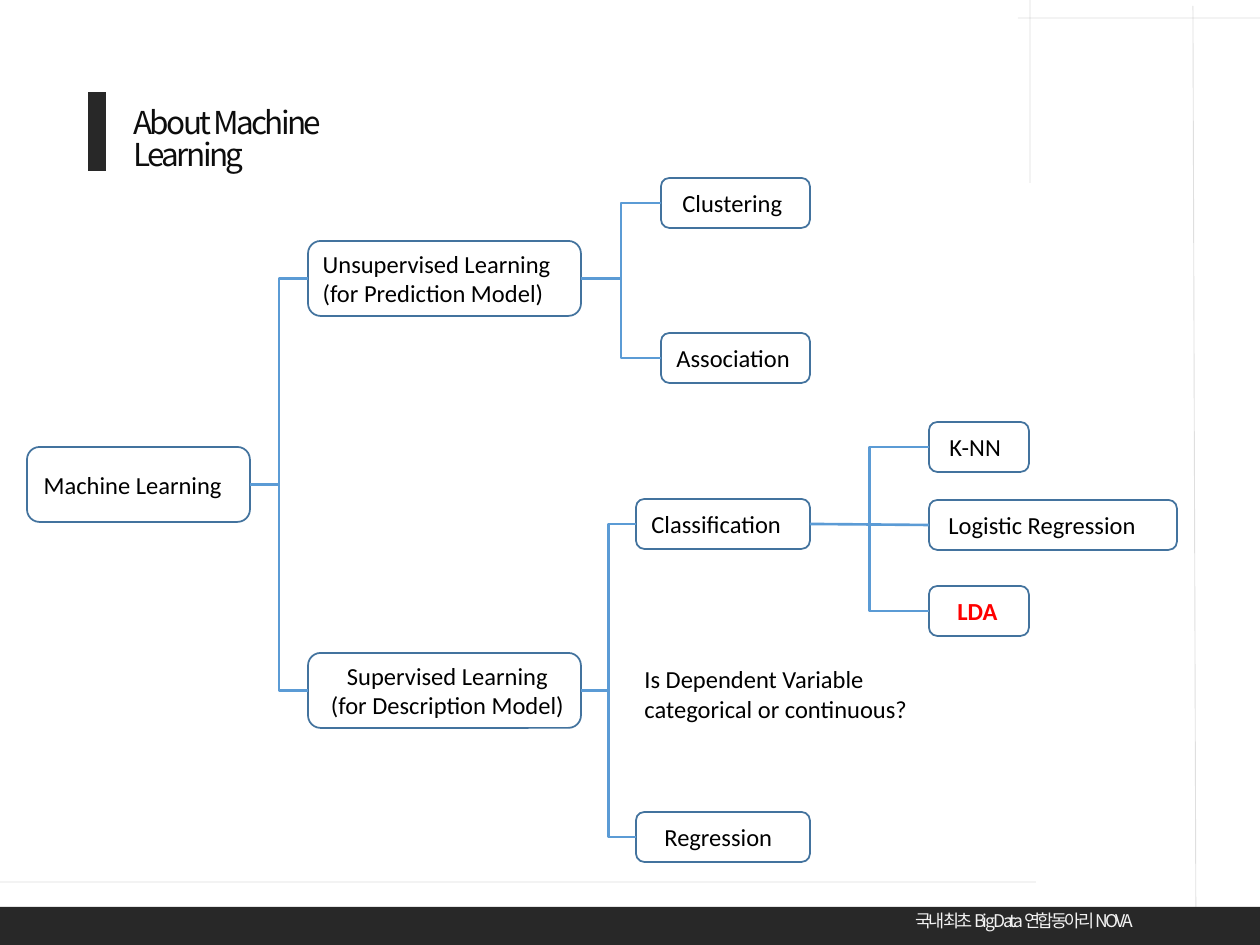
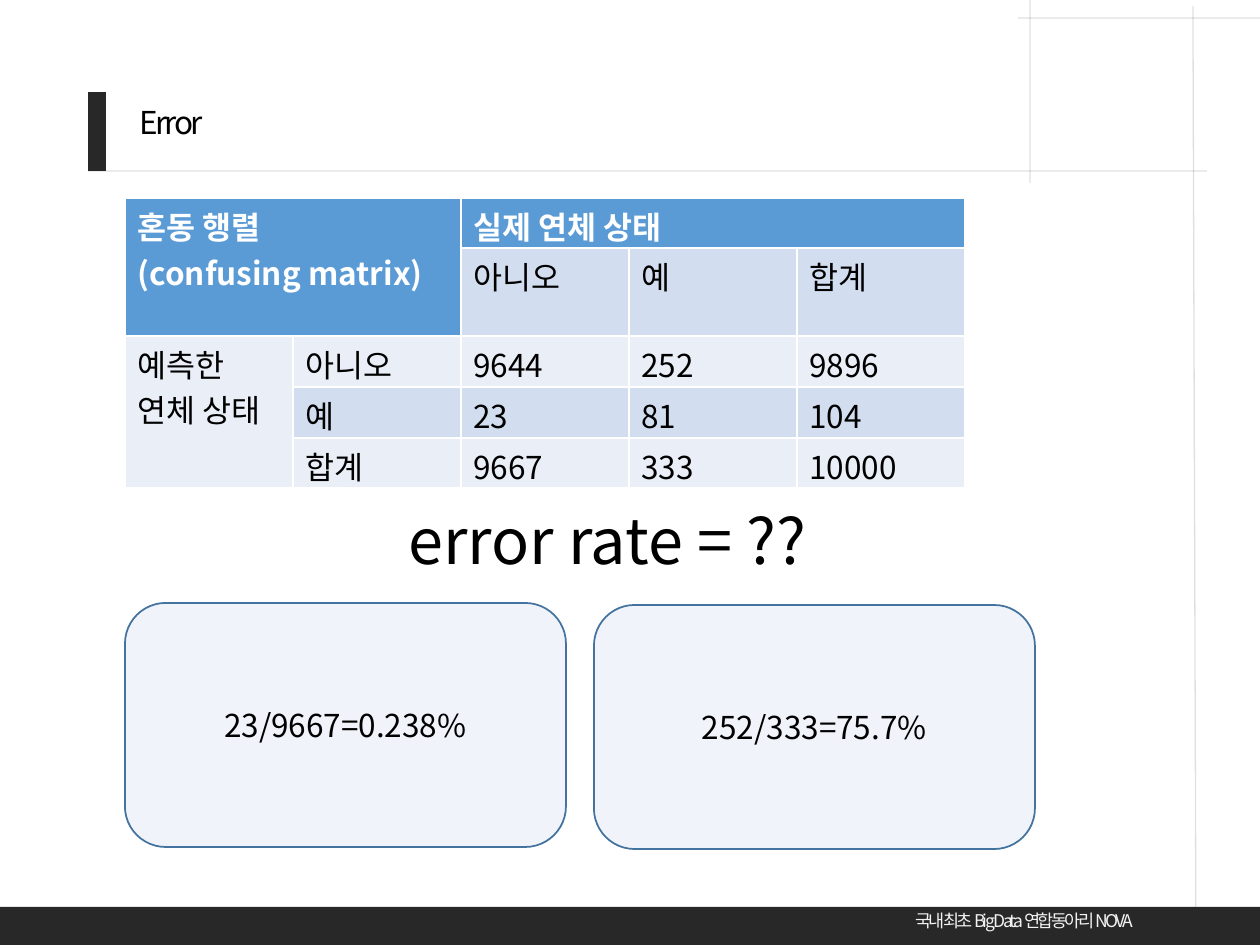
from lxml import etree
from pptx import Presentation
from pptx.dml.color import RGBColor
from pptx.enum.shapes import MSO_CONNECTOR, MSO_SHAPE
from pptx.enum.text import MSO_ANCHOR, PP_ALIGN
from pptx.oxml.ns import qn
from pptx.util import Inches, Pt

PX = 7257  # EMU per px, 126 px to the inch
RECT, ROUNDED = MSO_SHAPE.RECTANGLE, MSO_SHAPE.ROUNDED_RECTANGLE
STRAIGHT, ELBOW = MSO_CONNECTOR.STRAIGHT, MSO_CONNECTOR.ELBOW
LEFT, CENTER = PP_ALIGN.LEFT, PP_ALIGN.CENTER
MIDDLE = MSO_ANCHOR.MIDDLE
LEFT_SITE, RIGHT_SITE = 1, 3

SANS, CALIBRI = "Noto Sans CJK KR", "Calibri"
BLACK, WHITE, RED = "000000", "FFFFFF", "FF0000"
DARK, GUIDE, FOOTER_TEXT = "282828", "0D0D0D", "F2F2F2"
BLUE, OUTLINE, PALE = "5B9BD5", "43739E", "DAE3F3"
BANDS = ["EAEFF7", "D2DEEF"]


def paint(fill, color, opacity=100):
    """Make a fill solid, with its opacity in percent."""
    fill.solid()
    fill.fore_color.rgb = RGBColor.from_string(color)
    if opacity < 100:
        clr = fill._xPr.find(qn("a:solidFill"))[0]
        etree.SubElement(clr, qn("a:alpha"), val=str(opacity * 1000))


def write(tf, text, size, color=BLACK, font=SANS, bold=False, align=LEFT, tight=False):
    """Fill a text frame, one paragraph a line; tight text has closer letters and lines."""
    tf.word_wrap = True
    tf.text = text
    for p in tf.paragraphs:
        p.alignment = align
        p.font.size, p.font.name, p.font.bold = Pt(size), font, bold
        paint(p.font.fill, color)
        props = p._p.pPr.find(qn("a:defRPr"))
        props.find(qn("a:latin")).addnext(etree.Element(qn("a:ea"), typeface=font))
        if tight:
            p.line_spacing = 0.85
            props.set("spc", "-150")


prs = Presentation()
prs.slide_width, prs.slide_height = Inches(10), Inches(7.5)

# Frame of both slides: guide lines, title and footer
GUIDES = [(1018, 18, 1260, 18), (1030, 0, 1030, 183), (1193, 6, 1196, 945)]
FRAMES = [  # title, its left and width, own guide line, guide width
    ("About Machine Learning", 121, 261, (0, 882, 1036, 882), 0.5),
    ("Error", 127, 101, (88, 171, 1207, 171), 0.75),
]
slides = []
for title, left, width, own_guide, weight in FRAMES:
    slide = prs.slides.add_slide(prs.slide_layouts[6])
    slides.append(slide)
    for ends in GUIDES + [own_guide]:
        s = slide.shapes.add_connector(STRAIGHT, *[v * PX for v in ends])
        s.line.width = Pt(weight)
        paint(s.line.fill, GUIDE, 12)
    for box in [(88, 92, 18, 79), (0, 907, 1260, 38)]:
        s = slide.shapes.add_shape(RECT, *[v * PX for v in box])
        paint(s.fill, DARK)
        s.line.fill.background()
    for text, box, size, color in [
        (title, (left, 103, width, 50), 18, GUIDE if slide is slides[0] else BLACK),
        ("국내 최초 Big Data 연합동아리 NOVA", (903, 907, 309, 34), 10, FOOTER_TEXT),
    ]:
        s = slide.shapes.add_textbox(*[v * PX for v in box])
        write(s.text_frame, text, size, color, tight=True)

# Slide 1: tree of learning methods
tree, error = slides
NODES = {  # key: text, box, left inset
    "root": ("Machine Learning", (27, 447, 223, 75), 13),
    "unsupervised": ("Unsupervised Learning\n(for Prediction Model)", (308, 241, 273, 75), 11),
    "supervised": ("Supervised Learning\n(for Description Model)", (308, 653, 273, 75), 6),
    "clustering": ("Clustering", (661, 178, 149, 50), 19),
    "association": ("Association", (661, 333, 149, 50), 13),
    "classification": ("Classification", (636, 499, 174, 50), 13),
    "regression": ("Regression", (636, 812, 174, 50), 26),
    "knn": ("K-NN", (929, 422, 100, 50), 18),
    "logistic": ("Logistic Regression", (929, 500, 248, 50), 17),
    "lda": ("LDA", (929, 586, 100, 50), 26),
}
CHILDREN = {
    "root": ["unsupervised", "supervised"],
    "unsupervised": ["clustering", "association"],
    "supervised": ["classification", "regression"],
    "classification": ["knn", "logistic", "lda"],
}
nodes = {}
for key, (text, box, inset) in NODES.items():
    s = nodes[key] = tree.shapes.add_shape(ROUNDED, *[v * PX for v in box])
    s.fill.background()
    s.line.width = Pt(1)
    paint(s.line.fill, OUTLINE)
    tf = s.text_frame
    tf.vertical_anchor = MIDDLE
    tf.margin_left, tf.margin_right = inset * PX, 0
    is_lda = key == "lda"
    write(tf, text, 14, RED if is_lda else BLACK, CALIBRI, is_lda,
          CENTER if key == "supervised" else LEFT)

for parent, children in CHILDREN.items():
    for child in children:
        kind = STRAIGHT if child == "logistic" else ELBOW
        s = tree.shapes.add_connector(kind, 0, 0, 0, 0)
        s.begin_connect(nodes[parent], RIGHT_SITE)
        s.end_connect(nodes[child], LEFT_SITE)
        s.line.width = Pt(1.5)
        paint(s.line.fill, BLUE)

s = tree.shapes.add_textbox(*[v * PX for v in (632, 658, 324, 72)])
write(s.text_frame, "Is Dependent Variable\ncategorical or continuous?", 14, font=CALIBRI)

# Slide 2: confusion matrix and error rates
ROWS = [
    ["혼동 행렬\n(confusing matrix)", "", "실제 연체 상태", "", ""],
    ["", "", "아니오", "예", "합계"],
    ["예측한 연체 상태", "아니오", "9644", "252", "9896"],
    ["", "예", "23", "81", "104"],
    ["", "합계", "9667", "333", "10000"],
]
ROW_HEIGHTS = [50, 88, 51, 51, 50]
table = error.shapes.add_table(
    5, 5, *[v * PX for v in (125, 198, 840, sum(ROW_HEIGHTS))]).table
for row, height in zip(table.rows, ROW_HEIGHTS):
    row.height = height * PX
for top, left, bottom, right in [(0, 0, 1, 1), (0, 2, 0, 4), (2, 0, 4, 0)]:
    table.cell(top, left).merge(table.cell(bottom, right))
for i, values in enumerate(ROWS):
    for j, value in enumerate(values):
        cell = table.cell(i, j)
        if cell.is_spanned:
            continue
        header = i == 0
        paint(cell.fill, BLUE if header else BANDS[i % 2])
        cell.margin_top, cell.margin_bottom = 5 * PX, 0
        write(cell.text_frame, value, 18, WHITE if header else BLACK, bold=header)

s = error.shapes.add_textbox(*[v * PX for v in (396, 495, 732, 88)])
write(s.text_frame, "error rate = ??", 36)

for text, left, top in [("23/9667=0.238%", 125, 603), ("252/333=75.7%", 594, 605)]:
    s = error.shapes.add_shape(ROUNDED, *[v * PX for v in (left, top, 441, 244)])
    paint(s.fill, PALE, 40)
    s.line.width = Pt(1)
    paint(s.line.fill, OUTLINE)
    s.text_frame.vertical_anchor = MIDDLE
    write(s.text_frame, text, 18, align=CENTER)

# No shadows anywhere
for slide in slides:
    for s in slide.shapes:
        if not s.has_table:
            etree.SubElement(s._element.spPr, qn("a:effectLst"))

prs.save("out.pptx")
